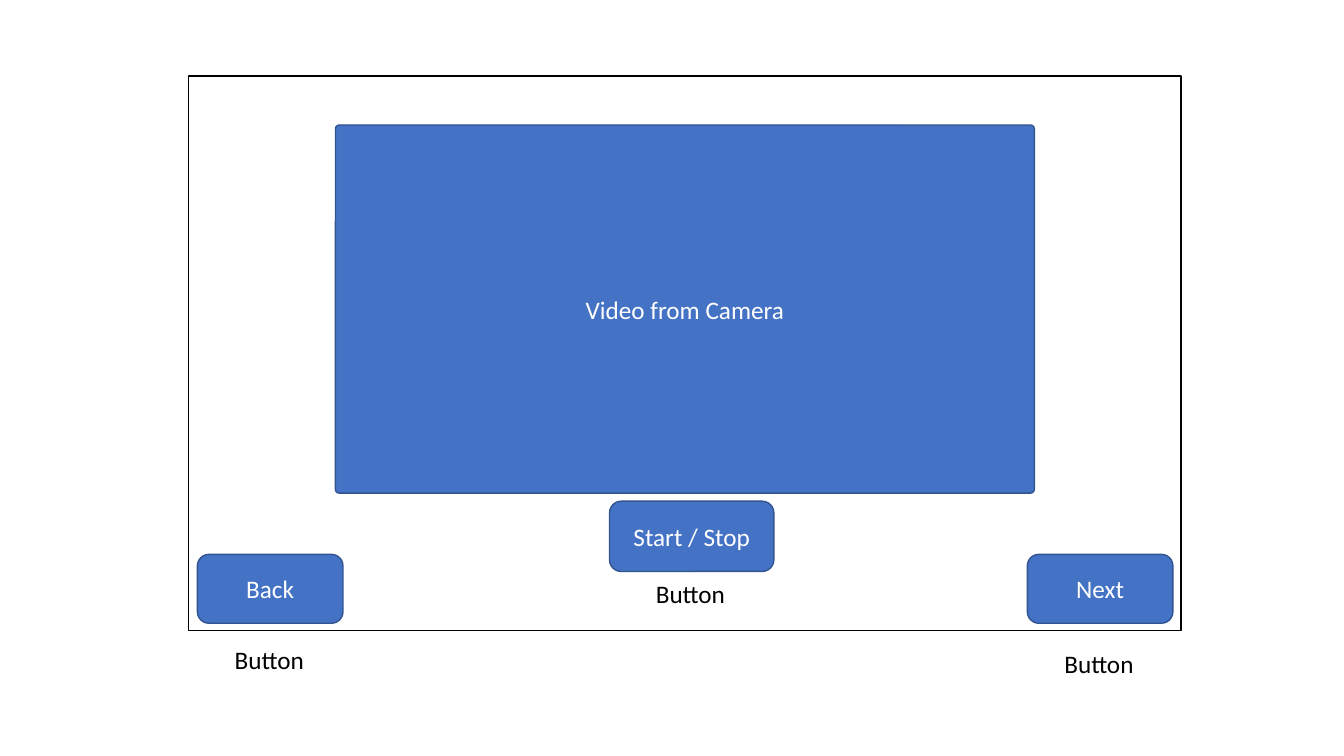
from dataclasses import dataclass

from pptx import Presentation
from pptx.dml.color import RGBColor
from pptx.enum import shapes, text
from pptx.util import Pt

KIND = shapes.MSO_SHAPE


@dataclass(frozen=True)
class Theme:
    """Colours and type sizes of the wireframe."""
    paper: str = "FFFFFF"
    ink: str = "000000"
    blue: str = "4472C4"
    edge: str = "325491"
    font: str = "Calibri"
    size: float = 18
    line: float = 1


class Sketch:
    """Draws wireframe elements on one slide."""

    def __init__(self, slide, theme):
        """Keep the slide and its style."""
        self.slide = slide
        self.theme = theme

    def letter(self, shape, words, color):
        """Set one line of styled text in a shape."""
        frame = shape.text_frame
        frame.text = words
        font = frame.paragraphs[0].runs[0].font
        font.name = self.theme.font
        font.size = Pt(self.theme.size)
        font.color.rgb = RGBColor.from_string(color)
        return frame

    def box(self, kind, area, fill, edge):
        """Add a filled and outlined shape."""
        shape = self.slide.shapes.add_shape(kind, *map(Pt, area))
        shape.shadow.inherit = False
        shape.fill.solid()
        shape.fill.fore_color.rgb = RGBColor.from_string(fill)
        shape.line.color.rgb = RGBColor.from_string(edge)
        shape.line.width = Pt(self.theme.line)
        return shape

    def window(self, area):
        """Add the white outer frame."""
        self.box(KIND.RECTANGLE, area, self.theme.paper, self.theme.ink)

    def panel(self, words, area, bend=None):
        """Add a blue rounded panel with centred text."""
        shape = self.box(KIND.ROUNDED_RECTANGLE, area, self.theme.blue, self.theme.edge)
        if bend is not None:
            shape.adjustments[0] = bend
        frame = self.letter(shape, words, self.theme.paper)
        frame.vertical_anchor = text.MSO_ANCHOR.MIDDLE
        frame.paragraphs[0].alignment = text.PP_ALIGN.CENTER

    def label(self, words, area):
        """Add a plain caption that fits its text."""
        shape = self.slide.shapes.add_textbox(*map(Pt, area))
        frame = self.letter(shape, words, self.theme.ink)
        frame.word_wrap = False
        frame.auto_size = text.MSO_AUTO_SIZE.SHAPE_TO_FIT_TEXT


def main():
    """Build and save the camera screen wireframe."""
    deck = Presentation()
    deck.slide_width, deck.slide_height = Pt(960), Pt(540)
    sketch = Sketch(deck.slides.add_slide(deck.slide_layouts[6]), Theme())

    sketch.window((134.8, 54.3, 708.7, 396))
    sketch.panel("Start / Stop", (435.4, 358, 117.4, 50.2))
    for words, left in (("Back", 141), ("Next", 733.8)):
        sketch.panel(words, (left, 396, 104, 49.2))
    sketch.panel("Video from Camera", (239.6, 89.3, 499.2, 262.9), 0.01)

    for left, top in ((160.6, 456.5), (753.2, 459.4), (461.4, 409.7)):
        sketch.label("Button", (left, top, 64.8, 29))

    deck.save("out.pptx")


main()
